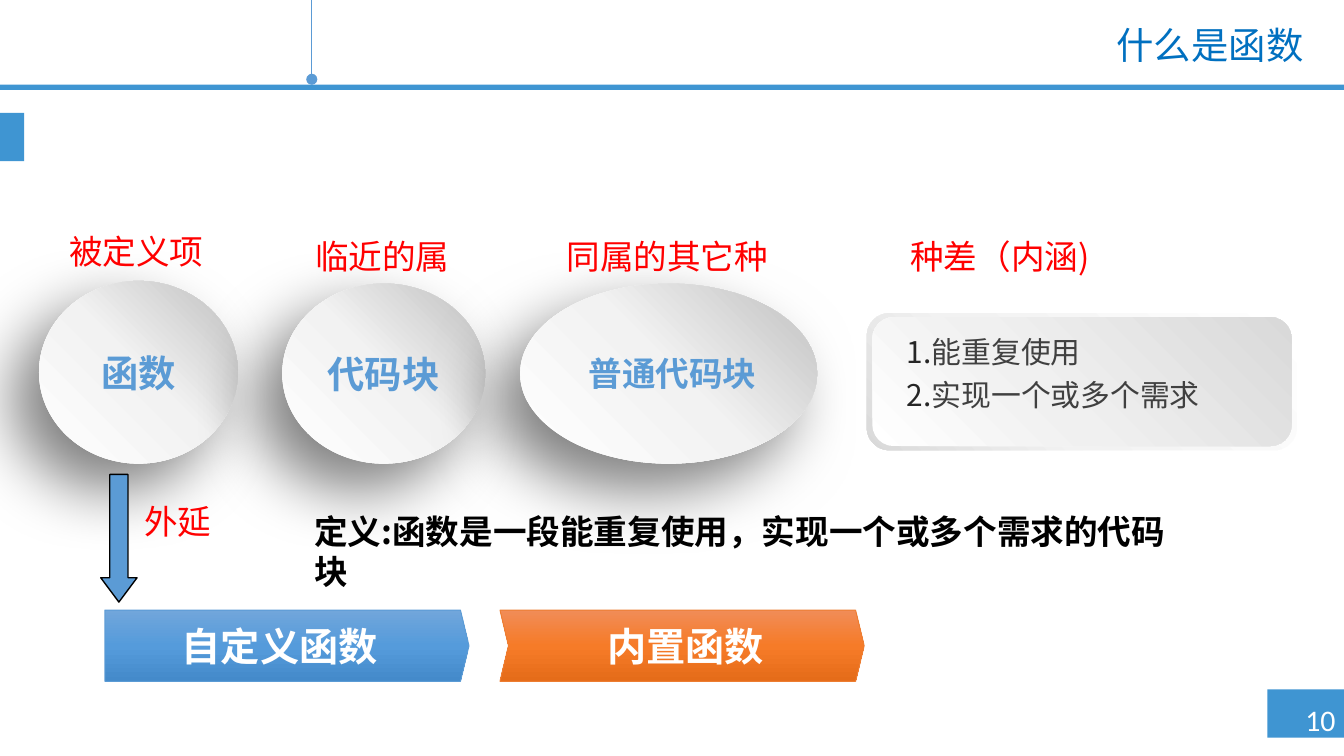
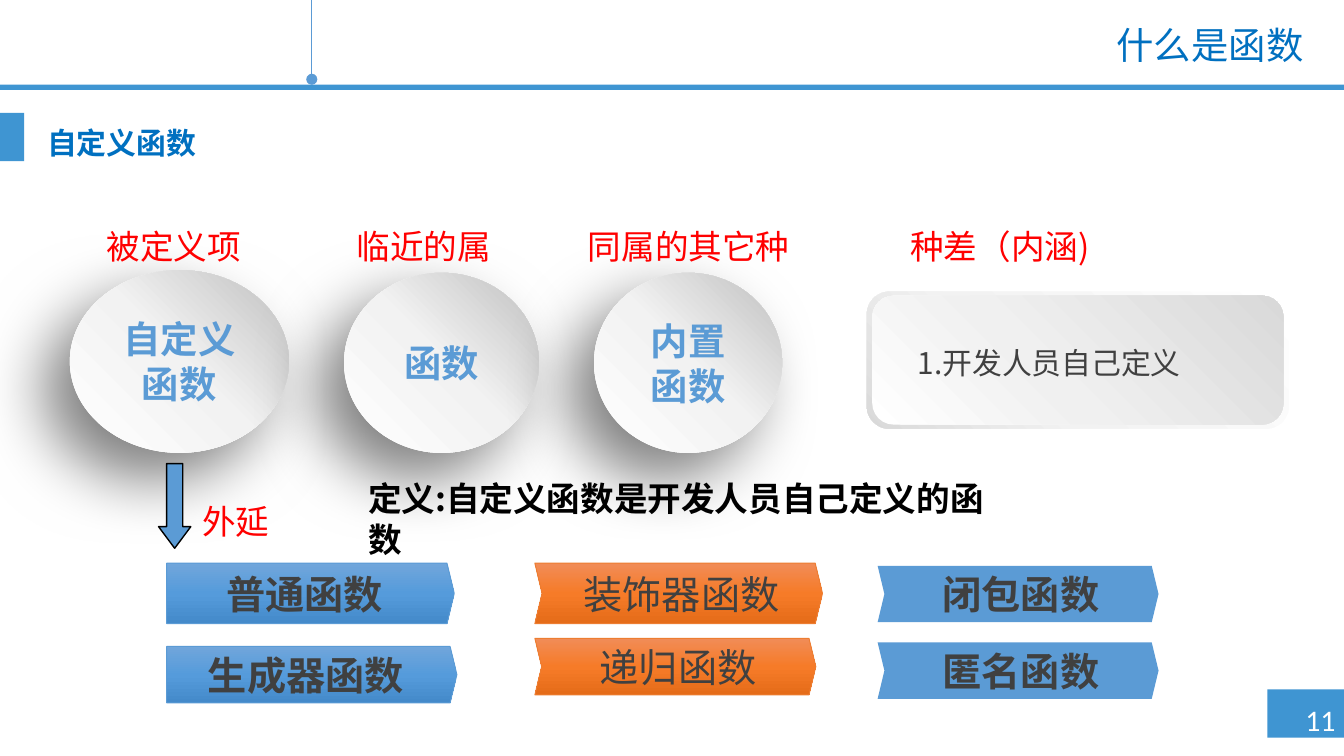
from lxml.etree import SubElement
from pptx import Presentation
from pptx.dml.color import RGBColor
from pptx.enum.shapes import MSO_CONNECTOR, MSO_SHAPE
from pptx.enum.text import MSO_ANCHOR, MSO_AUTO_SIZE, PP_ALIGN
from pptx.oxml.ns import qn
from pptx.util import Inches, Pt

# Shared colours, fonts and gradients (stops, angle)
BAND, BLUE, TITLE, RED = "3F95D2", "5B9BD5", "0070C0", "FF0000"
GREY, DARK, WHITE, BLACK = "404040", "262626", "FFFFFF", "000000"
ORANGE = "ED7D31"
NOTO = "Noto Sans CJK SC"
BALL = ([(0, WHITE), (51, "F2F2F2"), (100, "BFBFBF")], 315)
RIM = ([(0, WHITE), (62, "F2F2F2"), (100, "D9D9D9")], 135)
CARD = ([(0, WHITE), (42, "F0F0F0"), (100, "D9D9D9")], 315)
SKY = ([(0, "71A6DB"), (50, "559BDB"), (100, "448ACA")], 90)
FIRE = ([(0, "F18C57"), (50, "F67B28"), (100, "E56C19")], 90)

# Bar styles: shape, adjustment, fill, line, text offset and width as shares
BARS = {
    "plate": (MSO_SHAPE.PENTAGON, 0.12, SKY, BLUE, 0.04, 0.88),
    "fire": (MSO_SHAPE.CHEVRON, 0.12, FIRE, ORANGE, 0.11, 0.8),
    "flat": (MSO_SHAPE.CHEVRON, 0.12, BLUE, None, 0.11, 0.8),
}

# What each slide holds
PAGES = [
    {
        "num": 10, "head": None,
        "balls": [((0.29, 2.09, 1.48, 1.36), "函数", 20),
                  ((2.1, 2.11, 1.51, 1.34), "代码块", 20),
                  ((3.87, 2.11, 2.21, 1.34), " 普通代码块", 18)],
        "tags": [(0, 1.67, 2.03, "被定义项"), (1.73, 1.71, 2.23, "临近的属"),
                 (3.85, 1.71, 2.23, "同属的其它种"), (6.47, 1.71, 1.94, "种差（内涵)"),
                 (0.21, 3.68, 2.23, "外延")],
        "card": (6.45, 2.33, 3.2, 1.02),
        "list": ((6.65, 2.38, 2.52, 0.74), "1.|能重复使用\n2.|实现一个或多个需求", (DARK, GREY)),
        "rule": ((2.24, 3.75, 6.77, 0.4), "定义:函数是一段能重复使用，实现一个或多个需求的代码块"),
        "arrow": (0.75, 3.53, 0.27, 0.95),
        "bars": [("fire", (3.72, 4.54, 2.71, 0.53), "内置函数", WHITE, True),
                 ("plate", (0.78, 4.54, 2.71, 0.53), "自定义函数", WHITE, True)],
    },
    {
        "num": 11, "head": "自定义函数",
        "balls": [((0.52, 2.01, 1.63, 1.36), "自定义函数", 20),
                  ((2.56, 2.03, 1.45, 1.34), "函数", 20),
                  ((4.42, 2.03, 1.4, 1.34), "内置 函数", 20)],
        "tags": [(0.28, 1.63, 2.03, "被定义项"), (2.04, 1.63, 2.23, "临近的属"),
                 (4.01, 1.63, 2.23, "同属的其它种"), (6.47, 1.63, 1.94, "种差（内涵)"),
                 (0.64, 3.68, 2.23, "外延")],
        "card": (6.45, 2.17, 3.14, 1.02),
        "list": ((6.73, 2.46, 2.49, 0.74), "1.开发人员自己定义", (GREY,)),
        "rule": ((2.64, 3.51, 5.02, 0.4), "定义:自定义函数是开发人员自己定义的函数"),
        "arrow": (1.18, 3.45, 0.24, 0.63),
        "bars": [("fire", (3.98, 4.19, 2.14, 0.45), "装饰器函数", GREY, False),
                 ("plate", (1.24, 4.19, 2.14, 0.45), "普通函数", GREY, True),
                 ("fire", (3.98, 4.75, 2.09, 0.42), "递归函数", GREY, False),
                 ("plate", (1.24, 4.81, 2.16, 0.42), "生成器函数", GREY, True),
                 ("flat", (6.53, 4.78, 2.09, 0.42), "匿名函数", GREY, True),
                 ("flat", (6.53, 4.21, 2.09, 0.42), "闭包函数", GREY, True)],
    },
]


def draw(slide, kind, box, fill=None, line=None, width=0.5, adj=()):
    """Add a shape, or a text box when kind is None."""
    place = [Inches(x) for x in box]
    if kind is None:
        return slide.shapes.add_textbox(*place)
    shape = slide.shapes.add_shape(kind, *place)
    shape.shadow.inherit = False
    for i, val in enumerate(adj):
        shape.adjustments[i] = val
    if isinstance(fill, str):
        shape.fill.solid()
        shape.fill.fore_color.rgb = RGBColor.from_string(fill)
    else:
        stops, angle = fill
        shape.fill.gradient()
        grad = shape.element.spPr.find(qn("a:gradFill"))
        grad.find(qn("a:lin")).set("ang", str(angle * 60000))
        group = grad.find(qn("a:gsLst"))
        for old in list(group):
            group.remove(old)
        for pos, tint in stops:
            stop = SubElement(group, qn("a:gs"), pos=str(pos * 1000))
            SubElement(stop, qn("a:srgbClr"), val=tint)
    if line:
        shape.line.color.rgb = RGBColor.from_string(line)
        shape.line.width = Pt(width)
    else:
        shape.line.fill.background()
    return shape


def write(shape, text, tints, size, align=PP_ALIGN.CENTER, space=None,
          anchor=MSO_ANCHOR.TOP, pad=None, wrap=True, bold=False, face=NOTO):
    """Fill a shape with text; a bar splits a line into runs, one per tint."""
    frame = shape.text_frame
    look = {"word_wrap": wrap, "vertical_anchor": anchor, "auto_size": MSO_AUTO_SIZE.NONE}
    if pad is not None:
        look.update({f"margin_{side}": Inches(pad) for side in ("left", "top", "right", "bottom")})
    for key, val in look.items():
        setattr(frame, key, val)
    for i, row in enumerate(text.split("\n")):
        para = frame.add_paragraph() if i else frame.paragraphs[0]
        para.alignment = align
        if space:
            para.line_spacing = space
        for part, tint in zip(row.split("|"), tints):
            run = para.add_run()
            run.text = part
            for key, val in {"name": face, "size": Pt(size), "bold": bold}.items():
                setattr(run.font, key, val)
            run.font.color.rgb = RGBColor.from_string(tint)
            SubElement(run.font._element, qn("a:ea"), typeface=NOTO)


# Widescreen, 16:9
deck = Presentation()
deck.slide_width = Inches(10)
deck.slide_height = Inches(10 * 9 / 16)

for page in PAGES:
    slide = deck.slides.add_slide(deck.slide_layouts[5])

    # Frame: bands, page number, pin
    for box in [(9.43, 5.13, 0.57, 0.36), (0, 0.63, 10, 0.04), (0, 0.84, 0.18, 0.36)]:
        draw(slide, MSO_SHAPE.RECTANGLE, box, BAND)
    num = draw(slide, None, (9.59, 5.17, 0.52, 0.37))
    write(num, f"{page['num']} ", [WHITE], 16, wrap=False, face="Calibri")
    pin = slide.shapes.add_connector(
        MSO_CONNECTOR.STRAIGHT, Inches(2.32), 0, Inches(2.32), Inches(0.59))
    pin.line.color.rgb = RGBColor.from_string(BLUE)
    pin.line.width = Pt(0.75)
    SubElement(pin.line._get_or_add_ln(), qn("a:tailEnd"), type="oval")
    SubElement(pin.element.spPr, qn("a:effectLst"))

    # Title
    title = slide.shapes.title
    for key, val in {"left": 2.4, "top": 0.15, "width": 7.4, "height": 0.4}.items():
        setattr(title, key, Inches(val))
    write(title, "什么是函数", [TITLE], 20, align=PP_ALIGN.RIGHT, space=0.9,
          anchor=MSO_ANCHOR.MIDDLE, face="Lato")

    # Balls with a soft shadow
    for box, text, size in page["balls"]:
        ball = draw(slide, MSO_SHAPE.OVAL, box, BALL)
        glow = SubElement(
            ball.element.spPr.find(qn("a:effectLst")), qn("a:outerShdw"),
            blurRad=str(Pt(35)), dist=str(Pt(20)), dir=str(135 * 60000),
            algn="tr", rotWithShape="0")
        shade = SubElement(glow, qn("a:srgbClr"), val=BLACK)
        SubElement(shade, qn("a:alpha"), val="50000")
        write(ball, text, [BLUE], size, anchor=MSO_ANCHOR.MIDDLE, bold=True)

    # Red labels
    for left, top, width, text in page["tags"]:
        write(draw(slide, None, (left, top, width, 0.4)), text, [RED], 18)

    # Card with its list
    left, top, width, height = page["card"]
    draw(slide, MSO_SHAPE.ROUNDED_RECTANGLE, page["card"], RIM)
    draw(slide, MSO_SHAPE.ROUNDED_RECTANGLE,
         (left + 0.04, top + 0.03, width - 0.08, height - 0.06), CARD)
    box, text, tints = page["list"]
    write(draw(slide, None, box), text, tints, 16, align=PP_ALIGN.LEFT, space=1.2)

    # Definition and arrow
    box, text = page["rule"]
    write(draw(slide, None, box), text, [BLACK], 18, align=PP_ALIGN.LEFT, bold=True)
    draw(slide, MSO_SHAPE.DOWN_ARROW, page["arrow"], BLUE, BLACK, 0.75, (0.5, 0.67))

    # Bars
    for style, box, text, tint, bold in page["bars"]:
        kind, adj, fill, line, shift, share = BARS[style]
        left, top, width, height = box
        draw(slide, kind, box, fill, line, adj=(adj,))
        inner = (left + shift * width, top + (height - 0.35) / 2, share * width, 0.35)
        base = MSO_SHAPE.RECTANGLE if style == "flat" else None
        write(draw(slide, base, inner, fill), text, [tint], 21,
              anchor=MSO_ANCHOR.MIDDLE, pad=0, bold=bold)

    # Section heading
    if page["head"]:
        head = draw(slide, None, (0.25, 0.88, 1.31, 0.37))
        write(head, page["head"], [TITLE], 16, wrap=False, bold=True)

deck.save("out.pptx")
